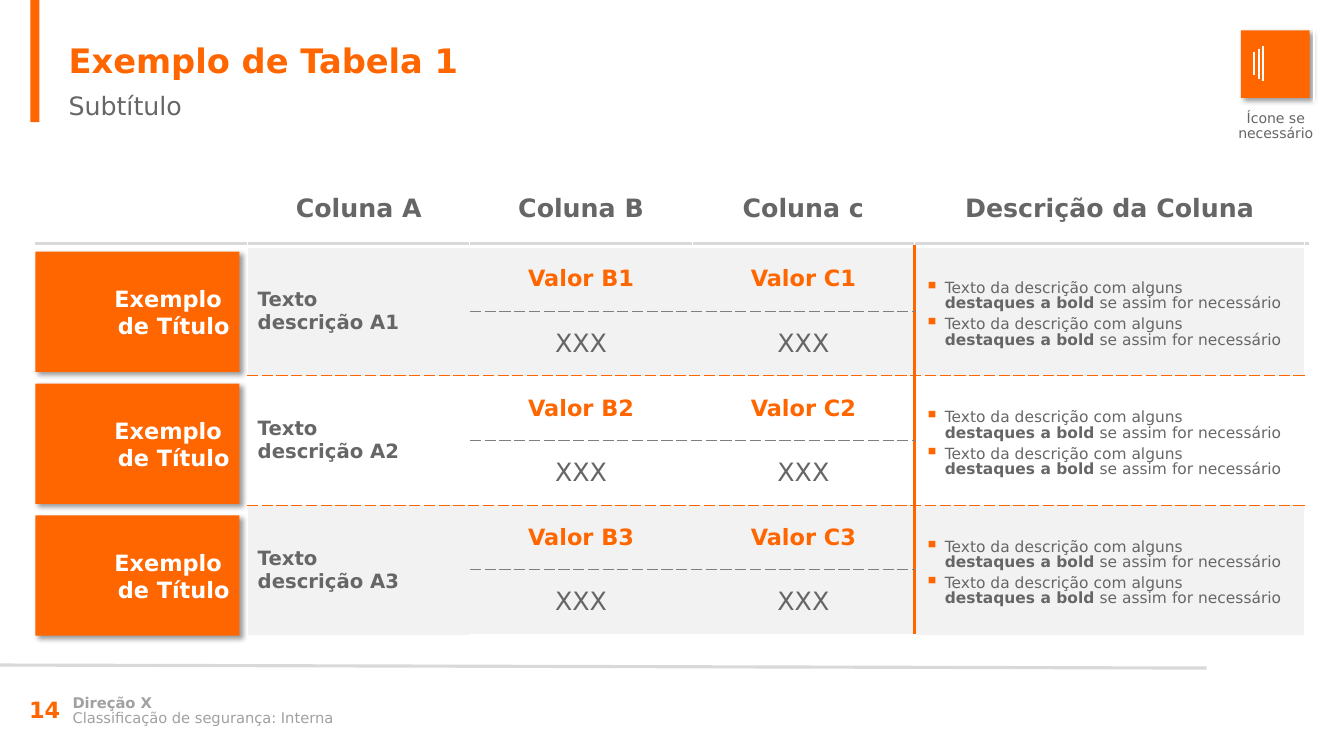
import pptx
import pptx.dml.color
import pptx.enum.shapes
import pptx.enum.text
import pptx.oxml
import pptx.oxml.ns
import pptx.util

Inches = pptx.util.Inches
Pt = pptx.util.Pt
ALIGN = pptx.enum.text.PP_ALIGN
MIDDLE = pptx.enum.text.MSO_ANCHOR.MIDDLE
NAMESPACE = pptx.oxml.ns.nsdecls("a")
COLORS = {
    "orange": "FF6600",
    "text": "666666",
    "muted": "A1A1A1",
    "rule": "D9D9D9",
    "dash": "7F7F7F",
    "band": "F2F2F2",
    "white": "FFFFFF",
}
FONT = "DejaVu Sans"
HEADERS = ["Coluna A", "Coluna B", "Coluna c", "Descrição da Coluna"]
COLUMN_WIDTHS = [2.2, 2.2, 2.2, 3.86]
HEADER_HEIGHT, HALF_ROW_HEIGHT = 0.74, 0.64
DESCRIPTION = [
    ("Texto da descrição com alguns \n", False),
    ("destaques a bold", True),
    (" se assim for necessário", False),
]


def rgb(name):
    return pptx.dml.color.RGBColor.from_string(COLORS[name])


def add_xml(parent, markup):
    tag, separator, rest = markup.partition(">")
    cut = len(tag) - 1 if tag.endswith("/") else len(tag)
    parent.append(pptx.oxml.parse_xml(f"{tag[:cut]} {NAMESPACE}{tag[cut:]}{separator}{rest}"))


def write_text(frame, text, size, color="text", bold=False, align=ALIGN.LEFT,
               spacing=None, after=0, bullet=False, repeat=1):
    frame.word_wrap = True
    runs = [(text, bold)] if isinstance(text, str) else text
    for index in range(repeat):
        paragraph = frame.add_paragraph() if index else frame.paragraphs[0]
        paragraph.alignment = align
        paragraph.line_spacing = spacing
        paragraph.space_after = Pt(after)
        if bullet:
            properties = paragraph._p.get_or_add_pPr()
            properties.set("marL", str(Inches(0.2)))
            properties.set("indent", str(Inches(-0.2)))
            add_xml(properties, f'<a:buClr><a:srgbClr val="{COLORS["orange"]}"/></a:buClr>')
            add_xml(properties, '<a:buSzPct val="130000"/>')
            add_xml(properties, '<a:buChar char="▪"/>')
        for content, run_bold in runs:
            for part_index, part in enumerate(content.split("\n")):
                if part_index:
                    paragraph.add_line_break()
                if part:
                    run = paragraph.add_run()
                    run.text = part
                    run.font.name = FONT
                    run.font.size = Pt(size)
                    run.font.bold = run_bold
                    run.font.color.rgb = rgb(color)


def add_text(slide, box, text, size, anchor=MIDDLE, **text_format):
    shape = slide.shapes.add_textbox(*map(Inches, box))
    shape.text_frame.vertical_anchor = anchor
    write_text(shape.text_frame, text, size, **text_format)


def add_block(slide, box, raised=False):
    shape = slide.shapes.add_shape(pptx.enum.shapes.MSO_SHAPE.RECTANGLE, *map(Inches, box))
    shape.shadow.inherit = False
    shape.fill.solid()
    shape.fill.fore_color.rgb = rgb("orange")
    shape.line.fill.background()
    if raised:
        effects = shape._element.spPr.find(pptx.oxml.ns.qn("a:effectLst"))
        add_xml(effects, f'<a:outerShdw blurRad="{Pt(4)}" dist="{Pt(3)}" dir="2700000" algn="tl" '
                'rotWithShape="0"><a:srgbClr val="000000"><a:alpha val="40000"/></a:srgbClr></a:outerShdw>')
    return shape


def add_line(slide, start, end, color, width):
    line = slide.shapes.add_connector(
        pptx.enum.shapes.MSO_CONNECTOR.STRAIGHT, *map(Inches, (*start, *end)))
    line.line.color.rgb = rgb(color)
    line.line.width = Pt(width)
    add_xml(line._element.spPr, "<a:effectLst/>")


def add_outline(slide, points, close):
    builder = slide.shapes.build_freeform(*points[0], scale=Inches(1))
    builder.add_line_segments(points[1:], close=close)
    shape = builder.convert_to_shape()
    shape.shadow.inherit = False
    shape.fill.background()
    shape.line.color.rgb = rgb("white")
    shape.line.width = Pt(1.5)


def add_heading(slide, left, top, width):
    add_block(slide, (0.3, 0, 0.09, 1.21))
    anchor = pptx.enum.text.MSO_ANCHOR.TOP
    add_text(slide, (left, top, width, 0.91), "Exemplo de Tabela 1", 24, anchor,
             color="orange", bold=True)
    add_text(slide, (left, top + 0.5, width, 0.71), "Subtítulo", 18, anchor)


def add_icon(slide, left, top, size):
    add_block(slide, (left, top, size, size - 0.01), raised=True)
    page = [(0.28, 0.14), (0.47, 0.14), (0.55, 0.21), (0.55, 0.5), (0.53, 0.52),
            (0.28, 0.52), (0.27, 0.5), (0.27, 0.16)]
    fold = [(0.52, 0.22), (0.46, 0.22), (0.46, 0.17)]
    for points, close in ((page, True), (fold, False)):
        add_outline(slide, [(left + x, top + y) for x, y in points], close)
    for x, y_start, y_end in ((0.22, 0.16, 0.5), (0.18, 0.18, 0.48), (0.13, 0.21, 0.44)):
        add_line(slide, (left + x, top + y_start), (left + x, top + y_end), "white", 1.5)
    add_text(slide, (left - 0.24, top + 0.76, 1.17, 0.39), "Ícone se necessário", 10,
             align=ALIGN.CENTER, spacing=0.85)


def add_row_titles(slide, left, top, width, height, pitch):
    for index in range(3):
        block = add_block(slide, (left, top + index * pitch, width, height), raised=True)
        block.text_frame.vertical_anchor = MIDDLE
        write_text(block.text_frame, "Exemplo \nde Título", 16, color="white",
                   bold=True, align=ALIGN.RIGHT)


def style_cell(cell, fill, borders):
    properties = cell._tc.get_or_add_tcPr()
    for side in "LRTB":
        if side in borders:
            color, width, dash = borders[side]
            add_xml(properties, f'<a:ln{side} w="{Pt(width)}"><a:solidFill><a:srgbClr val="{COLORS[color]}"/>'
                    f'</a:solidFill><a:prstDash val="{dash}"/></a:ln{side}>')
        else:
            add_xml(properties, f'<a:ln{side} w="0"><a:noFill/></a:ln{side}>')
    if fill:
        cell.fill.solid()
        cell.fill.fore_color.rgb = rgb(fill)
    else:
        cell.fill.background()
    cell.vertical_anchor = MIDDLE


def cell_borders(row, column):
    edge = ("white", 1, "solid")
    divider = ("orange", 3, "solid")
    group_rule = ("orange", 0.75, "dash")
    value_rule = ("dash", 0.75, "dash")
    if row == 0:
        return {"L": edge, "R": edge, "T": edge, "B": ("white", 3, "solid")}
    borders = {}
    if row % 2:
        borders["T"] = ("white", 3, "solid") if row == 1 else group_rule
        if column in (1, 2):
            borders["B"] = value_rule
    else:
        borders["B"] = edge if row == 6 else group_rule
        if column in (1, 2):
            borders["T"] = value_rule
    if column == 0:
        borders["L"] = edge
    elif column == 2:
        borders["R"] = divider
    elif column == 3:
        borders.update(L=divider, R=edge)
    return borders


def add_value_table(slide, left, top):
    heights = [HEADER_HEIGHT] + [HALF_ROW_HEIGHT] * 6
    table = slide.shapes.add_table(
        7, 4, *map(Inches, (left, top, sum(COLUMN_WIDTHS), sum(heights)))).table
    table.first_row = table.horz_banding = False
    for column, width in zip(table.columns, COLUMN_WIDTHS):
        column.width = Inches(width)
    for index, height in enumerate(heights):
        table.rows[index].height = Inches(height)
        fill = None if index == 0 else ("band", "white")[(index - 1) // 2 % 2]
        for column in range(4):
            style_cell(table.cell(index, column), fill, cell_borders(index, column))
    for column, header in enumerate(HEADERS):
        write_text(table.cell(0, column).text_frame, header, 18, bold=True, align=ALIGN.CENTER)
    for number in (1, 2, 3):
        row = 2 * number - 1
        for column in (0, 3):
            table.cell(row, column).merge(table.cell(row + 1, column))
        write_text(table.cell(row, 0).text_frame, f"Texto \ndescrição A{number}", 14, bold=True)
        for column, letter in ((1, "B"), (2, "C")):
            write_text(table.cell(row, column).text_frame, f"Valor {letter}{number}", 16,
                       color="orange", bold=True, align=ALIGN.CENTER)
            write_text(table.cell(row + 1, column).text_frame, "XXX", 18, align=ALIGN.CENTER)
        description = table.cell(row, 3)
        description.margin_top = Inches(0.12)
        write_text(description.text_frame, DESCRIPTION, 11, spacing=0.85, after=4,
                   bullet=True, repeat=2)


def add_footer(slide, left, top):
    add_line(slide, (0, 6.58), (11.94, 6.61), "rule", 2.25)
    add_text(slide, (left, top, 0.69, 0.4), "14", 16, color="orange", bold=True)
    lines = (("Direção X", True), ("Classificação de segurança: Interna", False))
    for index, (text, bold) in enumerate(lines):
        add_text(slide, (left + 0.43, top + 0.02 + index * 0.15, 7.53, 0.25), text, 10.5,
                 color="muted", bold=bold, spacing=0.85, after=4)


def main():
    presentation = pptx.Presentation()
    presentation.slide_width = Inches(13.3)
    presentation.slide_height = Inches(7.48)
    slide = presentation.slides.add_slide(presentation.slide_layouts[6])
    add_heading(slide, 0.58, 0.34, 12.42)
    add_line(slide, (0.35, 2.41), (12.95, 2.41), "rule", 2.25)
    add_row_titles(slide, 0.35, 2.49, 2.02, 1.19, 1.305)
    add_value_table(slide, 2.45, 1.7)
    add_icon(slide, 12.28, 0.3, 0.68)
    add_footer(slide, 0.19, 6.82)
    presentation.save("out.pptx")


if __name__ == "__main__":
    main()
